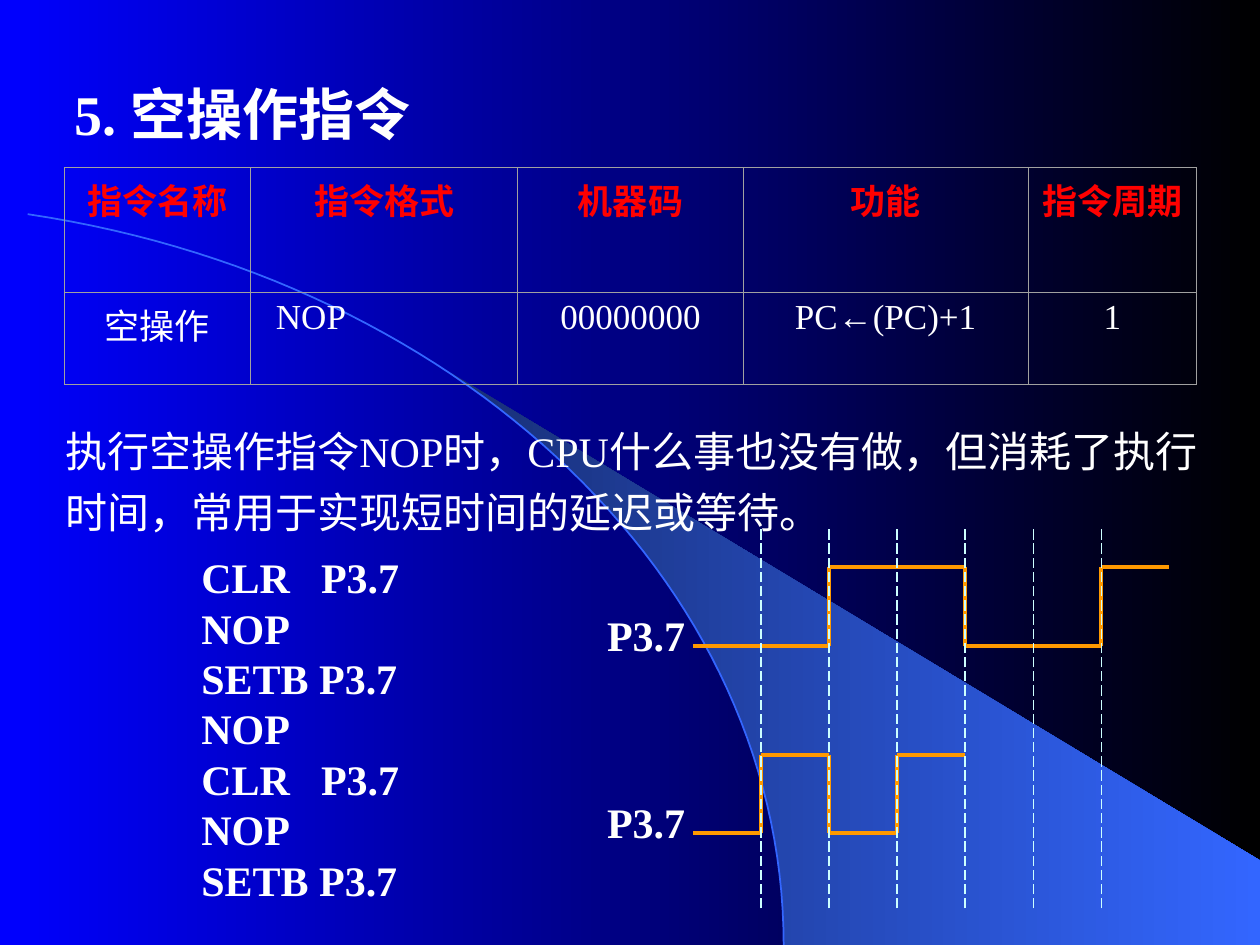
import dataclasses

import pptx
import pptx.dml.color
import pptx.enum.dml
import pptx.enum.shapes
import pptx.enum.text
import pptx.oxml
import pptx.oxml.ns
import pptx.util
from pptx.util import Inches

ALIGN = pptx.enum.text.PP_ALIGN


@dataclasses.dataclass(frozen=True)
class Theme:
    font: str = "Times New Roman"
    backdrop: tuple = ("0000FF", "000000")
    wedge: tuple = ("182F76", "3366FF")
    arc: str = "3366FF"
    text: str = "FFFFFF"
    header: str = "FF0000"
    border: str = "A0A0A0"
    signal: str = "FF9900"
    clock: str = "CCFFFF"
    title_size: int = 32
    body_size: int = 24
    table_size: int = 20


THEME = Theme()

COLUMN_WIDTHS = (1.48, 2.12, 1.79, 2.26, 1.34)
ROW_HEIGHTS = (0.99, 0.73)
TABLE_ROWS = (
    ("指令名称", "指令格式", "机器码", "功能", "指令周期"),
    ("空操作", "NOP", "00000000", "PC←(PC)+1", "1"),
)
EXPLANATION = "执行空操作指令NOP时，CPU什么事也没有做，但消耗了执行时间，常用于实现短时间的延迟或等待。"
PROGRAM = ("CLR\tP3.7", "NOP", "SETB P3.7", "NOP", "CLR\tP3.7", "NOP", "SETB P3.7")

FIRST_TICK, TICK_STEP, TICK_COUNT = 6.04, 0.54, 6


def rgb(value):
    return pptx.dml.color.RGBColor.from_string(value)


def apply_formats(target, formats):
    for name, value in formats.items():
        setattr(target, name, value)


def write_run(paragraph, text, size, color=THEME.text, bold=False):
    run = paragraph.add_run()
    run.text = text
    apply_formats(run.font, {"name": THEME.font, "size": pptx.util.Pt(size), "bold": bold})
    run.font.color.rgb = rgb(color)


def add_text(slide, box, lines, size, bold=False, spacing=None, tab=None):
    frame = slide.shapes.add_textbox(*map(Inches, box)).text_frame
    frame.word_wrap = True
    for index, line in enumerate(lines):
        paragraph = frame.add_paragraph() if index else frame.paragraphs[0]
        if spacing:
            paragraph.line_spacing = spacing
        if tab and "\t" in line:
            properties = paragraph._p.get_or_add_pPr()
            properties.append(pptx.oxml.parse_xml(
                f'<a:tabLst {pptx.oxml.ns.nsdecls("a")}>'
                f'<a:tab pos="{Inches(tab)}" algn="l"/></a:tabLst>'))
        write_run(paragraph, line, size, bold=bold)


def set_gradient(fill, colors):
    fill.gradient()
    fill.gradient_angle = 0
    for stop, color in zip(fill.gradient_stops, colors):
        stop.color.rgb = rgb(color)


def add_outline(slide, points, close):
    start, *rest = [(Inches(x), Inches(y)) for x, y in points]
    builder = slide.shapes.build_freeform(*start)
    builder.add_line_segments(rest, close=close)
    outline = builder.convert_to_shape()
    outline.shadow.inherit = False
    return outline


def bezier(controls, steps):
    """Return evenly stepped points of a cubic Bezier curve."""
    points = []
    for step in range(steps + 1):
        t = step / steps
        weights = ((1 - t) ** 3, 3 * t * (1 - t) ** 2, 3 * t * t * (1 - t), t ** 3)
        points.append(tuple(sum(w * c[axis] for w, c in zip(weights, controls))
                            for axis in (0, 1)))
    return points


def add_backdrop(slide):
    set_gradient(slide.background.fill, THEME.backdrop)
    curve = bezier(((0.22, 1.7), (3.7, 2.22), (6.22, 4.66), (6.22, 7.5)), 60)
    tip = (3.58, 2.96)
    edge = [point for point in curve if point[0] > tip[0]]
    wedge = add_outline(slide, [(10, 7.5), (10, 6.83), tip, *edge], close=True)
    set_gradient(wedge.fill, THEME.wedge)
    wedge.line.fill.background()
    arc = add_outline(slide, curve, close=False)
    arc.fill.background()
    arc.line.color.rgb = rgb(THEME.arc)
    arc.line.width = pptx.util.Pt(1)


def add_borders(cell):
    properties = cell._tc.get_or_add_tcPr()
    for index, side in enumerate(("lnL", "lnR", "lnT", "lnB")):
        properties.insert(index, pptx.oxml.parse_xml(
            f'<a:{side} {pptx.oxml.ns.nsdecls("a")} w="6350"><a:solidFill>'
            f'<a:srgbClr val="{THEME.border}"/></a:solidFill></a:{side}>'))


def add_instruction_table(slide):
    table = slide.shapes.add_table(
        len(ROW_HEIGHTS), len(COLUMN_WIDTHS), Inches(0.51), Inches(1.33),
        Inches(sum(COLUMN_WIDTHS)), Inches(sum(ROW_HEIGHTS))).table
    apply_formats(table, {"first_row": False, "horz_banding": False})
    for column, width in zip(table.columns, COLUMN_WIDTHS):
        column.width = Inches(width)
    for row, height in zip(table.rows, ROW_HEIGHTS):
        row.height = Inches(height)
    for r, texts in enumerate(TABLE_ROWS):
        is_header = r == 0
        side = Inches(0.1 if is_header else 0.2)
        for c, text in enumerate(texts):
            cell = table.cell(r, c)
            apply_formats(cell, {"margin_left": side, "margin_right": side,
                                 "margin_top": Inches(0.05), "margin_bottom": Inches(0.05)})
            cell.fill.background()
            add_borders(cell)
            paragraph = cell.text_frame.paragraphs[0]
            paragraph.alignment = ALIGN.JUSTIFY if text == "NOP" else ALIGN.CENTER
            write_run(paragraph, text, THEME.table_size,
                      THEME.header if is_header else THEME.text, is_header)


def add_line(slide, start, end, color, width, dash=None):
    line = slide.shapes.add_connector(
        pptx.enum.shapes.MSO_CONNECTOR.STRAIGHT, *map(Inches, (*start, *end)))
    apply_formats(line.line, {"width": pptx.util.Pt(width), "dash_style": dash})
    line.line.color.rgb = rgb(color)
    line._element.spPr.append(
        pptx.oxml.parse_xml(f'<a:effectLst {pptx.oxml.ns.nsdecls("a")}/>'))


def tick_x(tick):
    return FIRST_TICK + tick * TICK_STEP


def add_waveform(slide, ticks, high, low):
    """Draw a signal that starts low and toggles at each inner tick."""
    corners = []
    for index, (begin, end) in enumerate(zip(ticks, ticks[1:])):
        level = high if index % 2 else low
        corners += [(tick_x(begin), level), (tick_x(end), level)]
    for start, end in zip(corners, corners[1:]):
        add_line(slide, start, end, THEME.signal, 2.25)
    add_text(slide, (4.72, low - 0.34, 1, 0.5), ["P3.7"], THEME.body_size, bold=True)


def add_clock_lines(slide):
    for tick in range(TICK_COUNT):
        x = tick_x(tick)
        add_line(slide, (x, 7.21), (x, 4.18), THEME.clock, 0.75,
                 pptx.enum.dml.MSO_LINE.LONG_DASH)


def main():
    deck = pptx.Presentation()
    apply_formats(deck, {"slide_width": Inches(10), "slide_height": Inches(7.5)})
    slide = deck.slides.add_slide(deck.slide_layouts[6])
    add_backdrop(slide)
    add_instruction_table(slide)
    add_text(slide, (0.42, 3.25, 9.25, 1.06), [EXPLANATION], THEME.body_size, spacing=1.2)
    add_text(slide, (0.49, 0.58, 3.5, 0.64), ["5. 空操作指令"], THEME.title_size, bold=True)
    add_text(slide, (1.5, 4.33, 3.42, 2.9), PROGRAM, THEME.body_size, bold=True, tab=0.95)
    add_waveform(slide, (-1, 0, 1, 2, 3), high=5.99, low=6.61)
    add_waveform(slide, (-1, 1, 3, 5, 6), high=4.5, low=5.13)
    add_clock_lines(slide)
    deck.save("out.pptx")


if __name__ == "__main__":
    main()
